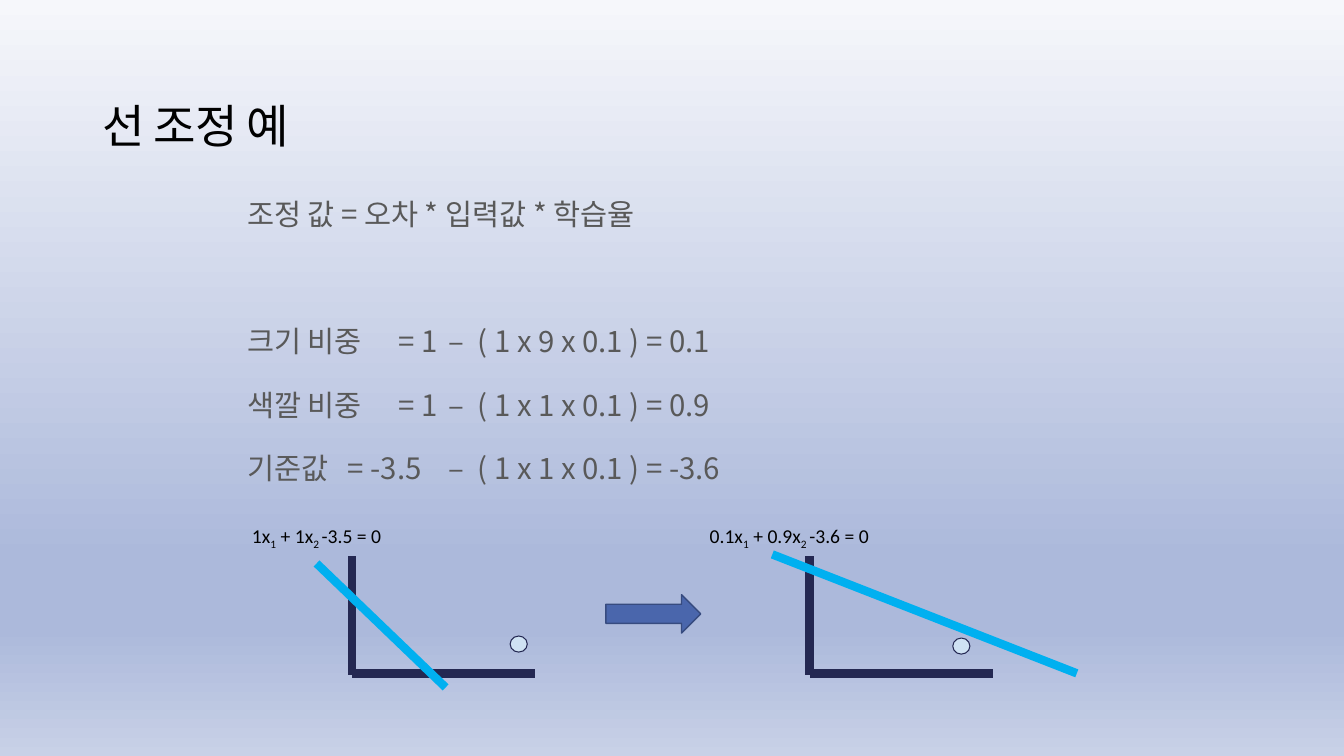
from copy import deepcopy

from pptx import Presentation
from pptx.dml.color import RGBColor
from pptx.enum import shapes, text
from pptx.oxml import ns
from pptx.util import Inches, Pt
from lxml import etree

NAVY, CYAN, BLACK, GREY = "242852", "00B0F0", "000000", "595959"
LATIN, KOREAN = "Calibri", "Noto Sans CJK KR"
LINE_HEIGHT = 22.7


def color(value):
    """Turn a hex string into a colour."""
    return RGBColor.from_string(value)


def add_span(para, words, size, face, ink, baseline=0):
    """Append one formatted run to a paragraph."""
    span = para.add_run()
    span.text = words
    span.font.size, span.font.name = Pt(size), face
    span.font.color.rgb = color(ink)
    properties = span.font._element
    etree.SubElement(properties, ns.qn("a:ea")).set("typeface", KOREAN)
    if baseline:
        properties.set("baseline", str(baseline * 1000))
    return span


def place(shape, left, top, width, height):
    """Move and size a shape, in inches."""
    shape.left, shape.top = Inches(left), Inches(top)
    shape.width, shape.height = Inches(width), Inches(height)


def paint_background(page, stops, angle):
    """Fill the page with a gradient of (position, colour) stops."""
    fill = page.background.fill
    fill.gradient()
    fill.gradient_angle = angle
    stop_list = fill._fill._gradFill.find(ns.qn("a:gsLst"))
    for _ in range(len(stops) - len(stop_list)):
        stop_list.append(deepcopy(stop_list[-1]))
    for stop, (position, value) in zip(fill.gradient_stops, stops):
        stop.position, stop.color.rgb = position, color(value)


def write_title(page, words, left, top, width, height):
    """Set the title placeholder."""
    title = page.shapes.title
    place(title, left, top, width, height)
    frame = title.text_frame
    frame.vertical_anchor = text.MSO_ANCHOR.MIDDLE
    frame.auto_size = text.MSO_AUTO_SIZE.NONE
    para = frame.paragraphs[0]
    para.alignment, para.line_spacing = text.PP_ALIGN.LEFT, 0.9
    span = add_span(para, words, 33, LATIN, BLACK)
    span.font._element.set("spc", "-60")


def write_formulas(page, rows, left, top, width, height):
    """Set the body placeholder from (words, blank lines before, tab stops) rows."""
    body = page.placeholders[1]
    place(body, left, top, width, height)
    frame = body.text_frame
    frame.auto_size = text.MSO_AUTO_SIZE.NONE
    frame.vertical_anchor = text.MSO_ANCHOR.TOP
    frame.margin_left = frame.margin_right = Inches(0.1)
    frame.margin_top = frame.margin_bottom = Inches(0.1)
    for index, (words, gap, tabs) in enumerate(rows):
        para = frame.add_paragraph() if index else frame.paragraphs[0]
        properties = para._p.get_or_add_pPr()
        properties.set("marL", "0")
        properties.set("indent", "0")
        para.line_spacing = Pt(LINE_HEIGHT)
        para.space_before, para.space_after = Pt(gap * LINE_HEIGHT), Pt(0)
        etree.SubElement(properties, ns.qn("a:buNone"))
        tab_list = etree.SubElement(properties, ns.qn("a:tabLst"))
        for position in tabs:
            tab = etree.SubElement(tab_list, ns.qn("a:tab"))
            tab.set("pos", str(Inches(position)))
            tab.set("algn", "l")
        add_span(para, words, 21, KOREAN, GREY)


def add_line(page, start, end, ink):
    """Draw a thick straight line between two points."""
    line = page.shapes.add_connector(
        shapes.MSO_CONNECTOR.STRAIGHT, *map(Inches, (*start, *end)))
    line.line.color.rgb, line.line.width = color(ink), Pt(6)
    etree.SubElement(line._element.spPr, ns.qn("a:effectLst"))


def add_figure(page, kind, box, fill, outline, weight):
    """Draw a filled preset shape."""
    figure = page.shapes.add_shape(kind, *map(Inches, box))
    figure.shadow.inherit = False
    figure.fill.solid()
    figure.fill.fore_color.rgb = color(fill)
    figure.line.color.rgb, figure.line.width = color(outline), Pt(weight)


def draw_plot(page, left, top, terms, point, start, end):
    """Draw axes, equation, data point and boundary relative to a corner."""
    add_line(page, (left + 1.09, top + 1.53), (left + 2.91, top + 1.53), NAVY)
    add_line(page, (left + 1.09, top + 0.37), (left + 1.09, top + 1.55), NAVY)
    label = page.shapes.add_textbox(*map(Inches, (left, top, 1.99, 0.34)))
    label.text_frame.word_wrap = True
    para = label.text_frame.paragraphs[0]
    for index, words in enumerate(terms):
        add_span(para, words, 14, LATIN, BLACK, -25 if index % 2 else 0)
    add_figure(page, shapes.MSO_SHAPE.FLOWCHART_CONNECTOR,
               (left + point[0], top + point[1], 0.17, 0.16), "CFE2F3", NAVY, 0.75)
    add_line(page, (left + start[0], top + start[1]),
             (left + end[0], top + end[1]), CYAN)


def main():
    """Build and save the deck."""
    deck = Presentation()
    deck.slide_width, deck.slide_height = Inches(13.33), Inches(7.5)
    page = deck.slides.add_slide(deck.slide_layouts[1])
    paint_background(page, [(0, "F6F7FB"), (0.74, "ACB9DB"),
                            (0.83, "ACB9DB"), (1, "C8D1E7")], 270)
    write_title(page, "선 조정 예", 0.92, 0.92, 11.5, 0.71)
    write_formulas(page, [
        ("조정 값 = 오차 * 입력값 * 학습율", 0, ()),
        ("크기 비중\t= 1\t–  ( 1 x 9 x 0.1 ) = 0.1", 3, (1.67, 2.56)),
        ("색깔 비중\t= 1\t–  ( 1 x 1 x 0.1 ) = 0.9", 1, (1.67, 2.39)),
        ("기준값\t= -3.5\t–  ( 1 x 1 x 0.1 ) = -3.6", 1, (1.34, 2.22)),
    ], 2.35, 1.88, 8.2, 3.1)
    draw_plot(page, 2.4, 5.15, ("1x", "1", " + 1x", "2 ", "-3.5 = 0"),
              (2.66, 1.16), (0.74, 0.44), (2.02, 1.67))
    draw_plot(page, 6.94, 5.15, ("0.1x", "1", " + 0.9x", "2 ", "-3.6 = 0"),
              (2.51, 1.18), (0.72, 0.35), (3.74, 1.53))
    add_figure(page, shapes.MSO_SHAPE.RIGHT_ARROW,
               (6.01, 5.9, 0.94, 0.38), "4A66AC", "374B7F", 1)
    deck.save("out.pptx")


if __name__ == "__main__":
    main()
